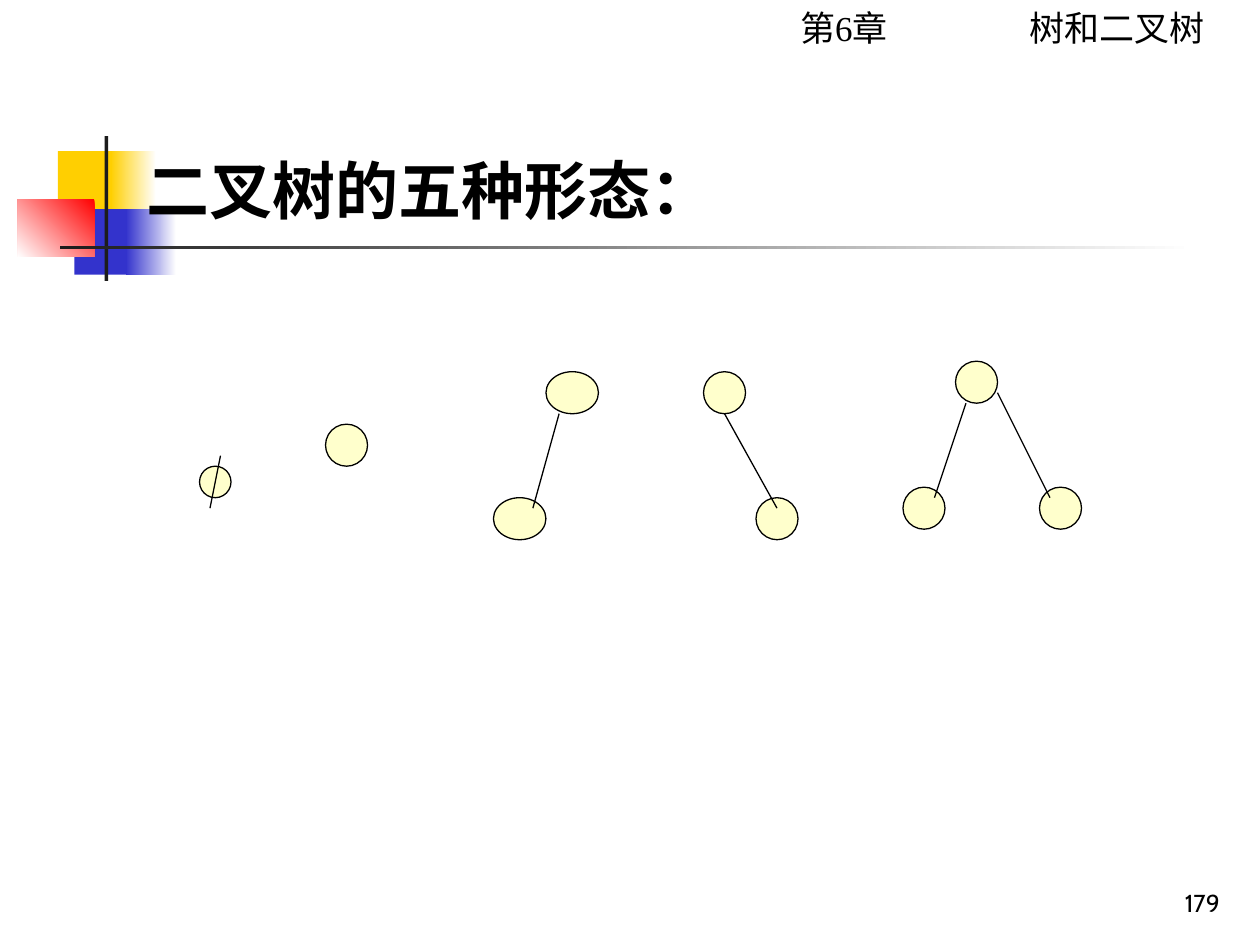
from dataclasses import dataclass

from lxml import etree
from pptx import Presentation
from pptx.dml.color import RGBColor
from pptx.enum.shapes import MSO_CONNECTOR, MSO_SHAPE
from pptx.enum.text import MSO_ANCHOR, MSO_AUTO_SIZE, PP_ALIGN
from pptx.oxml.ns import qn
from pptx.util import Inches, Pt

RECTANGLE, OVAL = MSO_SHAPE.RECTANGLE, MSO_SHAPE.OVAL
STRAIGHT = MSO_CONNECTOR.STRAIGHT
TOP, BOTTOM = MSO_ANCHOR.TOP, MSO_ANCHOR.BOTTOM
LEFT, RIGHT = PP_ALIGN.LEFT, PP_ALIGN.RIGHT
NO_AUTO_SIZE = MSO_AUTO_SIZE.NONE


@dataclass(frozen=True)
class Theme:
    ink: str = "000000"
    bar: str = "1C1C1C"
    white: str = "FFFFFF"
    yellow: str = "FFCF01"
    blue: str = "3333CC"
    red: str = "FF0000"
    node: str = "FFFFCC"
    serif: str = "Times New Roman"
    sans: str = "Cabin"
    title_size: int = 36
    chapter_size: int = 20
    number_size: int = 14
    line_width: float = 0.75


theme = Theme()
TITLE_ONLY = 5
CELL = Inches(1) / 12   # trees stand on a grid of twelfths of an inch
TREE_TOP = Inches(2.95)


def write_text(shape, text, size, font=theme.serif, bold=False,
               align=LEFT, anchor=TOP, left_inset=0.1, tabs=()):
    frame = shape.text_frame
    frame.word_wrap = True
    frame.auto_size = NO_AUTO_SIZE
    frame.vertical_anchor = anchor
    frame.margin_left, frame.margin_right = Inches(left_inset), Inches(0.1)
    frame.margin_top = frame.margin_bottom = Inches(0.05)
    paragraph = frame.paragraphs[0]
    paragraph.alignment = align
    if tabs:
        tab_list = etree.SubElement(paragraph._p.get_or_add_pPr(), qn("a:tabLst"))
        for position in tabs:
            etree.SubElement(tab_list, qn("a:tab"), pos=str(Inches(position)), algn="l")
    run = paragraph.add_run()
    run.text = text
    run.font.name, run.font.size, run.font.bold = font, Pt(size), bold
    run.font.color.rgb = RGBColor.from_string(theme.ink)


def grid(column, row):
    return round(column * CELL), round(TREE_TOP + row * CELL)


presentation = Presentation()
presentation.slide_width, presentation.slide_height = Inches(10), Inches(7.5)
slide = presentation.slides.add_slide(presentation.slide_layouts[TITLE_ONLY])

# Title ornament: box, start colour, end colour (None = solid), clockwise angle
ornaments = [
    ((0.46, 1.2, 0.48, 0.52), theme.yellow, None, 0),
    ((0.88, 1.2, 0.36, 0.52), theme.white, theme.yellow, 180),
    ((0.59, 1.66, 0.46, 0.52), theme.blue, None, 0),
    ((1, 1.66, 0.4, 0.52), theme.white, theme.blue, 180),
    ((0.14, 1.58, 0.61, 0.46), theme.red, theme.white, 135),
    ((0.83, 1.08, 0.03, 1.15), theme.bar, None, 0),
    ((0.48, 1.95, 9, 0.03), theme.white, theme.bar, 180),
]
for box, start, end, angle in ornaments:
    shape = slide.shapes.add_shape(RECTANGLE, *map(Inches, box))
    shape.shadow.inherit = False
    shape.line.fill.background()
    if end is None:
        shape.fill.solid()
        shape.fill.fore_color.rgb = RGBColor.from_string(start)
    else:
        shape.fill.gradient()
        shape.fill.gradient_angle = 360 - angle
        for stop, color, position in zip(shape.fill.gradient_stops, (start, end), (0, 1)):
            stop.color.rgb = RGBColor.from_string(color)
            stop.position = position

# Title, brought in front of the ornament
title = slide.shapes.title
title.left, title.top, title.width, title.height = map(Inches, (1.06, 1.15, 6.42, 0.7))
write_text(title, "二叉树的五种形态：", theme.title_size, bold=True)
slide.shapes._spTree.append(title._element)

chapter = slide.shapes.add_textbox(*map(Inches, (6, 0, 4, 0.44)))
write_text(chapter, "第6章\t树和二叉树", theme.chapter_size, left_inset=0.35, tabs=[1.82])

# The five forms: nodes as (column, row, width, height), edges as (from, to)
forms = [
    ([(19, 9, 3, 3)], [((21, 8), (20, 13))]),
    ([(31, 5, 4, 4)], []),
    ([(52, 0, 5, 4), (47, 12, 5, 4)], [((53.25, 4), (50.75, 13))]),
    ([(67, 0, 4, 4), (72, 12, 4, 4)], [((69, 4), (74, 13))]),
    ([(91, -1, 4, 4), (86, 11, 4, 4), (99, 11, 4, 4)],
     [((92, 3), (89, 12)), ((95, 2), (100, 12))]),
]
for nodes, edges in forms:
    shapes = slide.shapes.add_group_shape().shapes if len(nodes) > 1 else slide.shapes
    for column, row, width, height in nodes:
        node = shapes.add_shape(OVAL, *grid(column, row),
                                round(width * CELL), round(height * CELL))
        node.shadow.inherit = False
        node.fill.solid()
        node.fill.fore_color.rgb = RGBColor.from_string(theme.node)
        node.line.color.rgb = RGBColor.from_string(theme.ink)
        node.line.width = Pt(theme.line_width)
    for start, end in edges:
        edge = shapes.add_connector(STRAIGHT, *grid(*start), *grid(*end))
        edge.line.color.rgb = RGBColor.from_string(theme.ink)
        edge.line.width = Pt(theme.line_width)
        etree.SubElement(edge._element.spPr, qn("a:effectLst"))

page_number = slide.shapes.add_textbox(*map(Inches, (7.7, 6.83, 2.08, 0.5)))
write_text(page_number, "179", theme.number_size, font=theme.sans,
           align=RIGHT, anchor=BOTTOM)

presentation.save("out.pptx")
